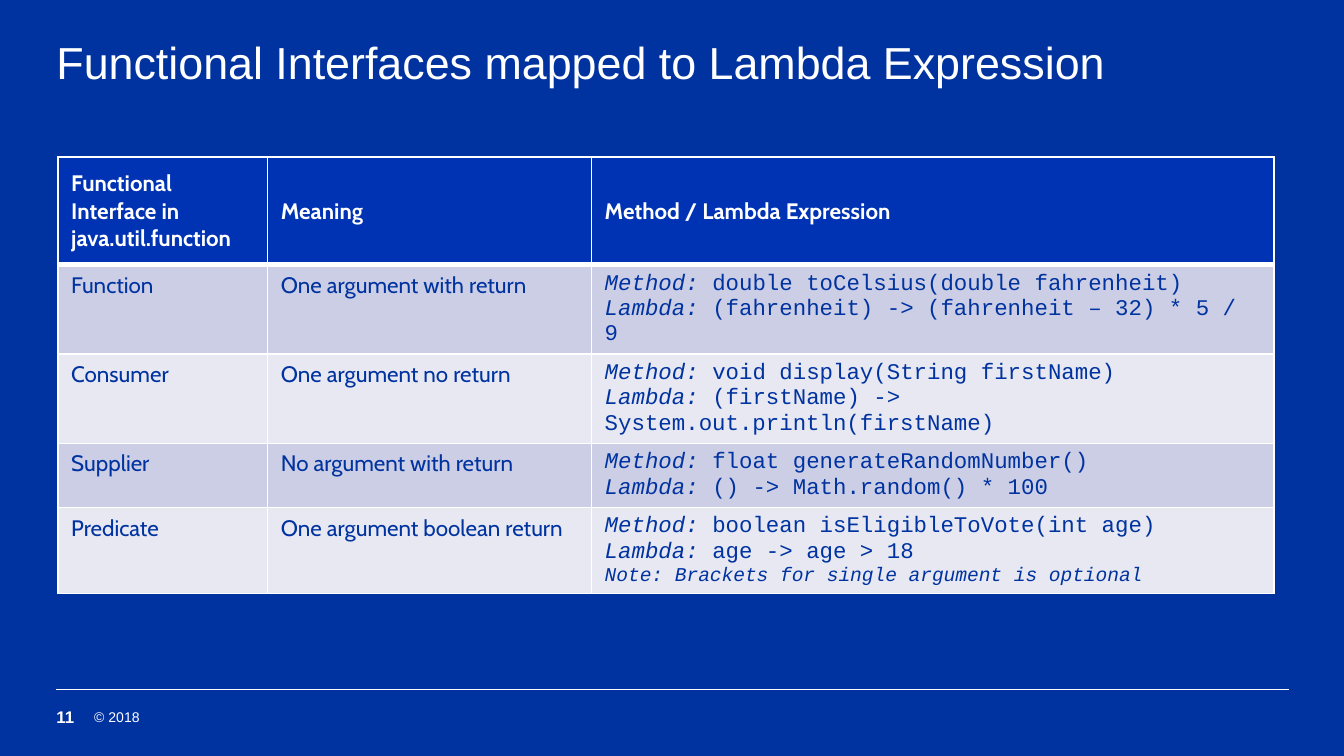
from collections import namedtuple

from lxml.etree import SubElement
from pptx import Presentation
from pptx.dml.color import RGBColor
from pptx.enum.shapes import MSO_CONNECTOR
from pptx.enum.text import MSO_ANCHOR, MSO_AUTO_SIZE, PP_ALIGN
from pptx.oxml.ns import qn
from pptx.util import Inches, Pt

# The 16:9 slide is a grid of 100 columns by 56.25 rows, each a tenth of an inch.
COLUMNS, ROWS = 100, 56.25
Box = namedtuple("Box", "left top width height")

WHITE, NAVY, HEADER_BLUE = "FFFFFF", "0033A0", "0033B4"
BANDS = ["CCCEE5", "E7E8F2"]

TITLE_FORMAT = {"name": "Arial", "size": Pt(24), "bold": False, "color": WHITE}
COPYRIGHT_FORMAT = {"name": "Arial", "size": Pt(7.5), "color": WHITE}
NUMBER_FORMAT = {"name": "Arial", "size": Pt(9), "bold": True, "color": WHITE}
HEADING_FORMAT = {"name": "Cabin", "size": Pt(12), "bold": True, "color": WHITE}
PROSE_FORMAT = {**HEADING_FORMAT, "bold": False, "color": NAVY}
CODE_FORMAT = {**PROSE_FORMAT, "name": "Courier New", "italic": False}
LABEL_FORMAT = {**CODE_FORMAT, "italic": True}
NOTE_FORMAT = {**LABEL_FORMAT, "size": Pt(10.5)}

HEADINGS = ["Functional Interface in java.util.function", "Meaning",
            "Method / Lambda Expression"]
INTERFACES = [
    ("Function", "One argument with return",
     "double toCelsius(double fahrenheit)",
     "(fahrenheit) -> (fahrenheit – 32) * 5 / 9", None),
    ("Consumer", "One argument no return",
     "void display(String firstName)",
     "(firstName) -> System.out.println(firstName)", None),
    ("Supplier", "No argument with return",
     "float generateRandomNumber()",
     "() -> Math.random() * 100", None),
    ("Predicate", "One argument boolean return",
     "boolean isEligibleToVote(int age)",
     "age -> age > 18", "Note: Brackets for single argument is optional"),
]
COLUMN_WIDTHS = [15.6, 24.1, 50.8]
ROW_HEIGHTS = [8, 4.4, 4.3, 3.8, 3.8]


def grid(cells):
    return Inches(cells / 10)


def color(hex_value):
    return RGBColor.from_string(hex_value)


def write_lines(frame, lines):
    """Fill a text frame; each line is a list of (text, format) runs."""
    for index, line in enumerate(lines):
        paragraph = frame.add_paragraph() if index else frame.paragraphs[0]
        paragraph.alignment = PP_ALIGN.LEFT
        for text, format_values in line:
            run = paragraph.add_run()
            run.text = text
            for key, value in format_values.items():
                if key == "color":
                    run.font.color.rgb = color(value)
                else:
                    setattr(run.font, key, value)


def set_up_frame(frame, anchor):
    settings = {"word_wrap": True, "auto_size": MSO_AUTO_SIZE.NONE,
                "vertical_anchor": anchor, "margin_left": 0,
                "margin_top": 0, "margin_right": 0, "margin_bottom": 0}
    for key, value in settings.items():
        setattr(frame, key, value)


def add_title(slide, box, text):
    title = slide.shapes.title
    for side, cells in box._asdict().items():
        setattr(title, side, grid(cells))
    set_up_frame(title.text_frame, MSO_ANCHOR.TOP)
    write_lines(title.text_frame, [[(text, TITLE_FORMAT)]])
    title.text_frame.paragraphs[0].line_spacing = 0.9


def add_footer(slide, box):
    """Rule along the top of the box, then slide number and copyright."""
    rule = slide.shapes.add_connector(
        MSO_CONNECTOR.STRAIGHT, grid(box.left), grid(box.top),
        grid(box.left + box.width), grid(box.top))
    rule.line.color.rgb = color(WHITE)
    rule.line.width = Pt(0.5)
    SubElement(rule._element.spPr, qn("a:effectLst"))

    for offset, width, text, format_values in [
            (0, 2.5, "11", NUMBER_FORMAT),
            (2.8, 50, "© 2018", COPYRIGHT_FORMAT)]:
        label = slide.shapes.add_textbox(
            grid(box.left + offset), grid(box.top + 1.2),
            grid(width), grid(box.height - 1.2))
        set_up_frame(label.text_frame, MSO_ANCHOR.MIDDLE)
        write_lines(label.text_frame, [[(text, format_values)]])


def set_borders(cell, widths):
    properties = cell._tc.get_or_add_tcPr()
    for side, width in widths.items():
        border = SubElement(properties, qn(f"a:ln{side}"), w=str(Pt(width)))
        fill = SubElement(border, qn("a:solidFill"))
        SubElement(fill, qn("a:srgbClr"), val=WHITE)


def expression_lines(method, expression, note):
    lines = [[(f"{label}:", LABEL_FORMAT), (f" {code}", CODE_FORMAT)]
             for label, code in [("Method", method), ("Lambda", expression)]]
    return lines + ([[(note, NOTE_FORMAT)]] if note else [])


def add_interface_table(slide, box):
    contents = [[[[(heading, HEADING_FORMAT)]] for heading in HEADINGS]]
    for interface, meaning, *expression in INTERFACES:
        contents.append([[[(interface, PROSE_FORMAT)]],
                         [[(meaning, PROSE_FORMAT)]],
                         expression_lines(*expression)])

    table = slide.shapes.add_table(
        len(contents), len(HEADINGS), *map(grid, box)).table
    for column, width in zip(table.columns, COLUMN_WIDTHS):
        column.width = grid(width)
    for row, height in zip(table.rows, ROW_HEIGHTS):
        row.height = grid(height)

    for row_index, row_contents in enumerate(contents):
        is_header = row_index == 0
        band = HEADER_BLUE if is_header else BANDS[(row_index - 1) % 2]
        for column_index, lines in enumerate(row_contents):
            cell = table.cell(row_index, column_index)
            set_borders(cell, {"L": 1, "R": 1,
                               "T": 3 if row_index == 1 else 1,
                               "B": 3 if is_header else 1})
            cell.fill.solid()
            cell.fill.fore_color.rgb = color(band)
            cell.vertical_anchor = (
                MSO_ANCHOR.MIDDLE if is_header else MSO_ANCHOR.TOP)
            write_lines(cell.text_frame, lines)


def main():
    presentation = Presentation()
    presentation.slide_width = grid(COLUMNS)
    presentation.slide_height = grid(ROWS)
    slide = presentation.slides.add_slide(presentation.slide_layouts[5])
    slide.background.fill.solid()
    slide.background.fill.fore_color.rgb = color(NAVY)

    add_title(slide, Box(4.2, 3, 91.7, 8.7),
              "Functional Interfaces mapped to Lambda Expression")
    add_interface_table(
        slide, Box(4.3, 11.7, sum(COLUMN_WIDTHS), sum(ROW_HEIGHTS)))
    add_footer(slide, Box(4.2, 51.3, 91.7, 2.9))
    presentation.save("out.pptx")


if __name__ == "__main__":
    main()
